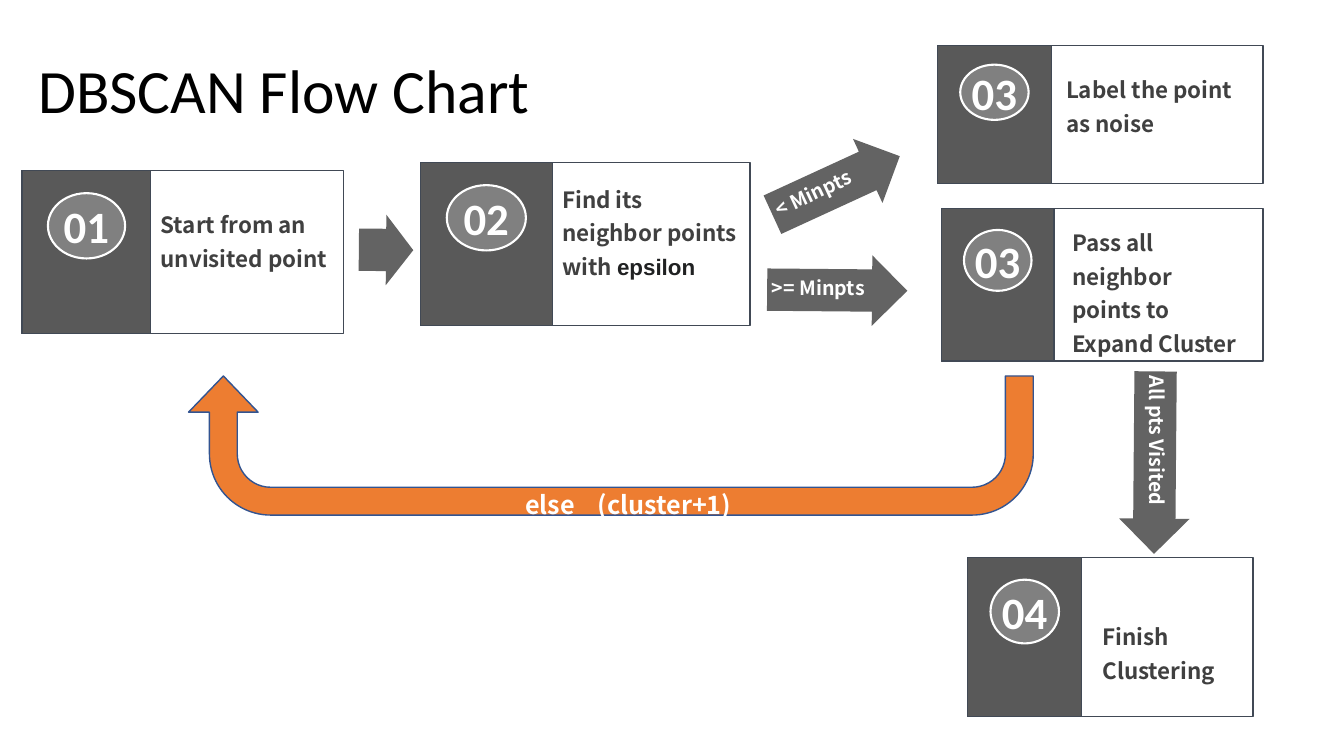
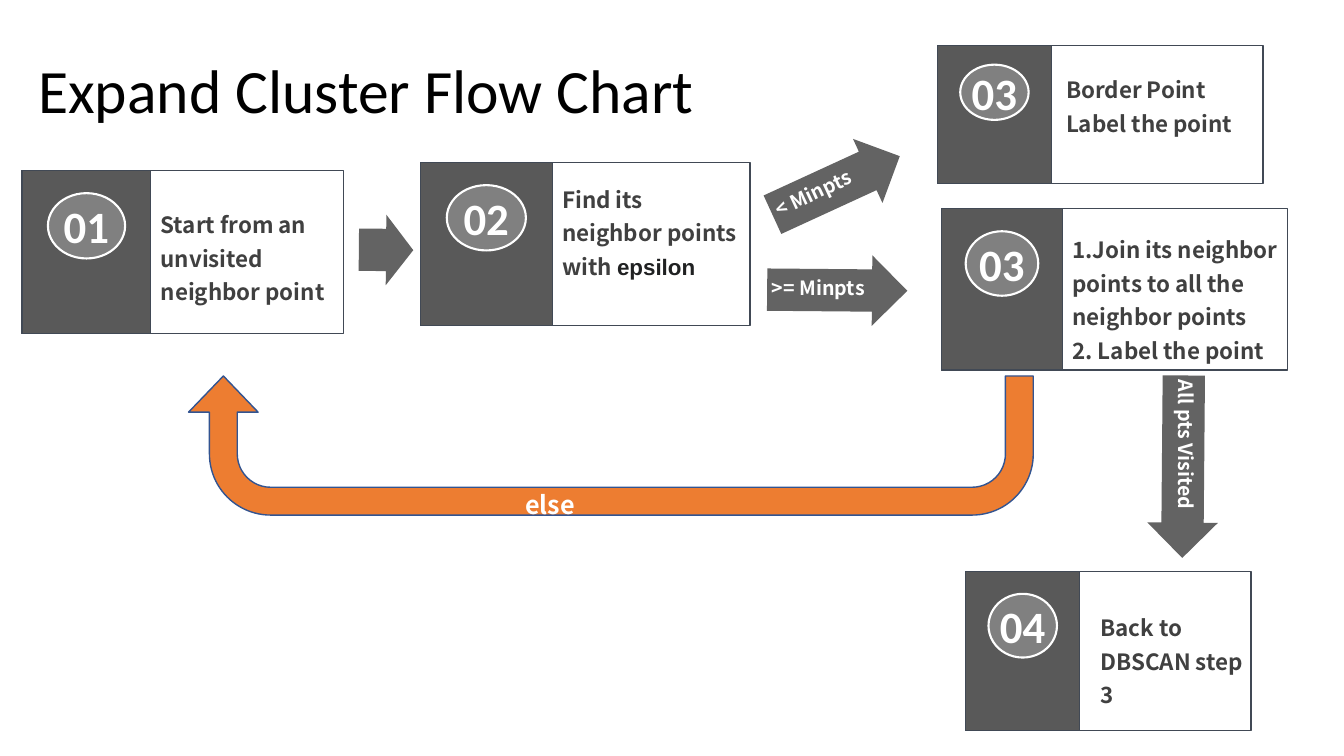
import pptx
import pptx.util
import pptx.dml.color
import pptx.enum.shapes
import pptx.enum.text
import lxml.etree

RGB = pptx.dml.color.RGBColor
BLACK = RGB(0x00, 0x00, 0x00)
WHITE = RGB(0xFF, 0xFF, 0xFF)
INK = RGB(0x40, 0x40, 0x40)
TERM_INK = RGB(0x20, 0x21, 0x22)
FRAME = RGB(0x41, 0x49, 0x55)
PANEL = RGB(0x59, 0x59, 0x59)
BADGE = RGB(0x80, 0x80, 0x80)
ARROW = RGB(0x63, 0x63, 0x63)
LOOP = RGB(0xED, 0x7D, 0x31)
LOOP_EDGE = RGB(0x32, 0x54, 0x91)

HEAD_FONT, BODY_FONT, TERM_FONT = "Calibri", "Noto Sans CJK SC", "Arial"
TERM = "epsilon"

KIND = pptx.enum.shapes.MSO_SHAPE
MIDDLE = pptx.enum.text.MSO_ANCHOR.MIDDLE
CENTER = pptx.enum.text.PP_ALIGN.CENTER

prs = pptx.Presentation()
prs.slide_width = pptx.util.Inches(13.33)
prs.slide_height = pptx.util.Inches(7.5)
COL = prs.slide_width / 100
ROW = prs.slide_height / 100


def put(s, kind, x, y, w, h, fill=None, line=None, weight=1, turn=0, adj=()):
    """Place a shape, or a text box if kind is None, on the 100 by 100 grid."""
    at = [round(v) for v in (x * COL, y * ROW, w * COL, h * ROW)]
    if kind is None:
        sp = s.shapes.add_textbox(*at)
    else:
        sp = s.shapes.add_shape(kind, *at)
        sp.shadow.inherit = False
        for i, value in enumerate(adj):
            sp.adjustments[i] = value
        if fill is None:
            sp.fill.background()
        else:
            sp.fill.solid()
            sp.fill.fore_color.rgb = fill
        if line is None:
            sp.line.fill.background()
        else:
            sp.line.color.rgb = line
            sp.line.width = pptx.util.Pt(weight)
    sp.rotation = turn
    return sp


def write(sp, text, size=16, font=BODY_FONT, color=INK, bold=True,
          align=None, anchor=None, spacing=None, inset=None, tab=None):
    """Fill a shape with one paragraph a line; TERM gets its own font."""
    tf = sp.text_frame
    tf.word_wrap = True
    if anchor is not None:
        tf.vertical_anchor = anchor
    if inset is not None:
        tf.margin_left = tf.margin_right = tf.margin_top = tf.margin_bottom = inset
    for i, line in enumerate(text.split("\n")):
        p = tf.add_paragraph() if i else tf.paragraphs[0]
        p.alignment = align
        p.line_spacing = spacing
        if tab is not None:
            pPr = p._p.get_or_add_pPr()
            stops = lxml.etree.SubElement(pPr, pptx.oxml.ns.qn("a:tabLst"))
            lxml.etree.SubElement(stops, pptx.oxml.ns.qn("a:tab"),
                                  pos=str(round(tab * COL)), algn="l")
        for part in filter(None, line.partition(TERM)):
            r = p.add_run()
            r.text = part
            r.font.size = pptx.util.Pt(size)
            r.font.bold = bold
            r.font.name = TERM_FONT if part == TERM else font
            r.font.color.rgb = TERM_INK if part == TERM else color


# Card frames: x, y, width, height, share of the dark panel
START = (1.65, 22.53, 23.93, 21.6, 0.4)
FIND = (31.28, 21.47, 24.53, 21.6, 0.4)
FEW = (69.75, 6, 24.23, 18.27, 0.35)

# Cards: number, frame, text gap after the panel, text drop, text width, text
decks = [
    ("DBSCAN Flow Chart", [
        ("01", START, 0, 3.87, 14.4, "Start from an unvisited point"),
        ("02", FIND, 0, 1.6, 14.7, "Find its neighbor points with epsilon"),
        ("03", FEW, 0.35, 2.53, 14.63, "Label the point as noise"),
        ("03", (70.05, 27.6, 23.93, 20.13, 0.35), 0.62, 1.2, 14.4,
         "Pass all neighbor points to Expand Cluster"),
        ("04", (72, 73.73, 21.23, 21.07, 0.4), 0.8, 7.2, 12.75,
         "Finish Clustering"),
    ], (79.13, 56.53), "else\t(cluster+1)"),
    ("Expand Cluster Flow Chart", [
        ("01", START, 0, 3.87, 14.4, "Start from an unvisited neighbor point"),
        ("02", FIND, 0, 1.6, 14.7, "Find its neighbor points with epsilon"),
        ("03", FEW, 0.35, 2.53, 14.63, "Border Point\nLabel the point"),
        ("03", (70.05, 27.6, 25.73, 21.33, 0.35), 0, 2.13, 20.93,
         "1.Join its neighbor points to all the neighbor points\n2. Label the point"),
        ("04", (71.85, 75.6, 21.23, 21.07, 0.4), 0.8, 4.13, 12.75,
         "Back to DBSCAN step 3"),
    ], (81.23, 57.07), "else"),
]

for title, cards, (exit_x, exit_y), loop_label in decks:
    s = prs.slides.add_slide(prs.slide_layouts[6])
    write(put(s, None, 2.1, 2.67, 86.25, 19.33), title, size=44, font=HEAD_FONT,
          color=BLACK, bold=False, anchor=MIDDLE, spacing=0.9)

    for number, (x, y, w, h, share), gap, drop, text_w, text in cards:
        panel_w = share * w
        put(s, KIND.RECTANGLE, x, y, w, h, line=FRAME)
        put(s, KIND.RECTANGLE, x, y, panel_w, h, fill=PANEL, line=FRAME)
        badge = put(s, KIND.OVAL, x + 0.2 * panel_w, y + 0.14 * h, 0.6 * panel_w,
                    0.4 * h, fill=BADGE, line=WHITE, weight=1.5)
        write(badge, number, size=32, font=HEAD_FONT, color=WHITE,
              align=CENTER, anchor=MIDDLE, inset=0)
        write(put(s, None, x + panel_w + gap, y + drop, text_w, h - drop),
              text, spacing=1.25)

    # Arrows: x, y, width, turn, then label, its offset and its turn
    for x, y, w, turn, label, dx, dy, label_turn in [
        (26.7, 28.4, 4.05, 0.5, "", 0, 0, 0),
        (57.08, 33.73, 10.43, 0.5, ">= Minpts", -0.38, 2.13, 0),
        (57, 19.87, 10.43, 335.3, "< Minpts", -0.38, 2.4, 334.8),
        (exit_x, exit_y, 13.58, 90.5, "All pts Visited", 0.3, 1.47, 90),
    ]:
        put(s, KIND.RIGHT_ARROW, x, y, w, 9.33, fill=ARROW, turn=turn, adj=(0.6, 0.5))
        if label:
            write(put(s, None, x + dx, y + dy, w - 0.23, 4.53, turn=label_turn),
                  label, size=14, color=WHITE)

    put(s, KIND.U_TURN_ARROW, 14.03, 49.73, 62.85, 18.4, fill=LOOP, line=LOOP_EDGE,
        turn=180, adj=(0.2, 0.25, 0.26, 0.44, 1))
    write(put(s, None, 38.33, 64, 50, 5.33), loop_label, size=18, color=WHITE,
          tab=5.4 if "\t" in loop_label else None)

prs.save("out.pptx")
